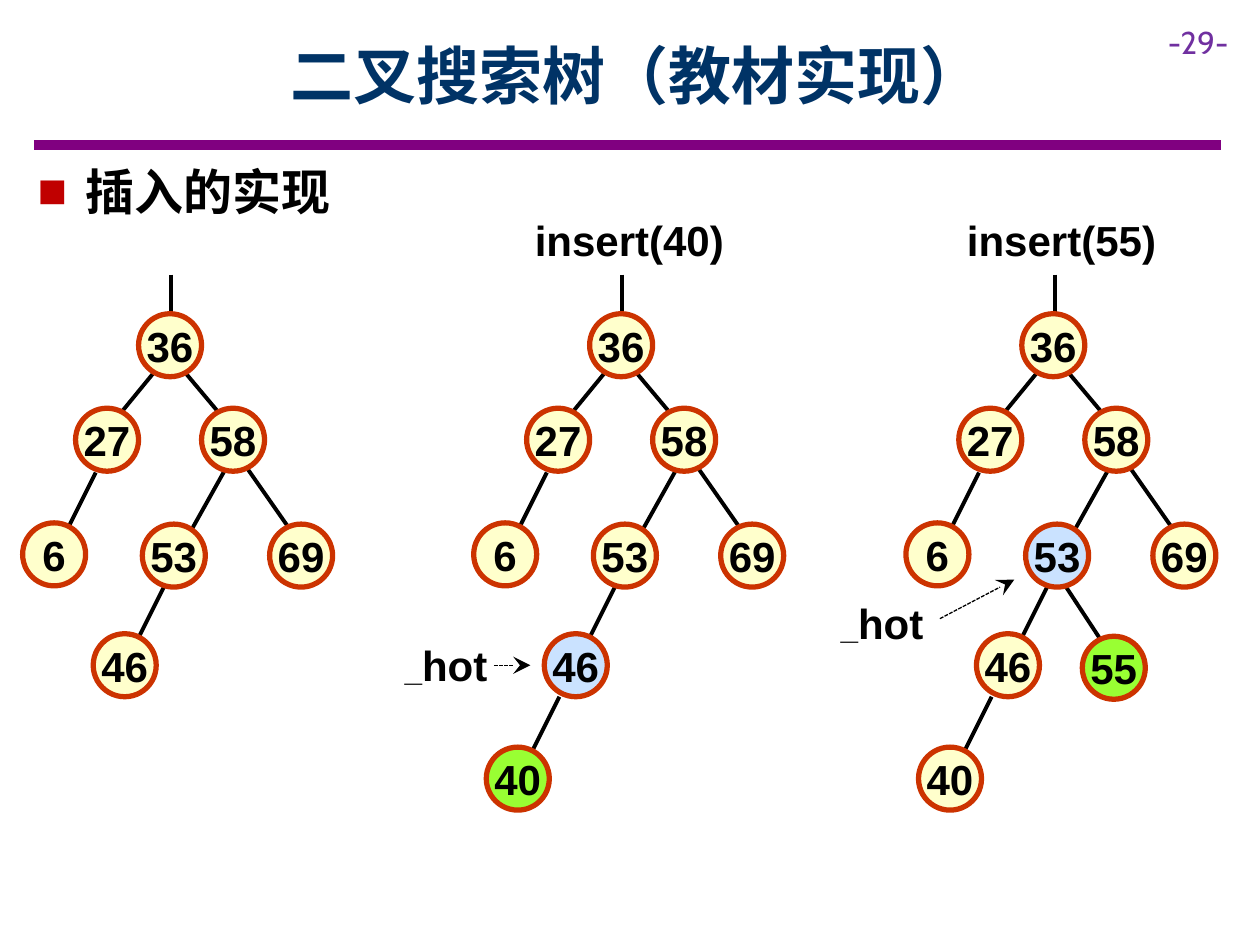
from lxml import etree
from pptx import Presentation
from pptx.dml.color import RGBColor
from pptx.enum import dml, shapes, text
from pptx.oxml import ns
from pptx.util import Inches, Pt

BLACK = RGBColor(0x00, 0x00, 0x00)
NAVY = RGBColor(0x00, 0x33, 0x66)
PURPLE = RGBColor(0x80, 0x00, 0x80)
VIOLET = RGBColor(0x70, 0x30, 0xA0)
RIM = RGBColor(0xCC, 0x33, 0x00)
CREAM = RGBColor(0xFF, 0xFF, 0xCC)
HOT = RGBColor(0xCA, 0xE2, 0xFF)
ADDED = RGBColor(0x99, 0xFF, 0x33)
BULLET_RED = RGBColor(0xC0, 0x00, 0x00)
CHINESE = "Noto Sans CJK SC"
DIAMETER = 0.5
TREE_TOP = 2.18

NODES = {
    36: (0.92, 0.31),
    27: (0.42, 1.06),
    58: (1.42, 1.06),
    6: (0, 1.97),
    53: (0.95, 1.98),
    69: (1.96, 1.98),
    46: (0.56, 2.85),
    40: (0.1, 3.75),
    55: (1.4, 2.87),
}
EDGES = {
    36: (1.18, 0, 1.18, 0.42),
    27: (1.08, 0.73, 0.67, 1.23),
    58: (1.25, 0.73, 1.67, 1.23),
    6: (0.58, 1.57, 0.33, 2.07),
    53: (1.6, 1.56, 1.27, 2.15),
    69: (1.77, 1.52, 2.19, 2.12),
    46: (1.14, 2.44, 0.89, 2.94),
    40: (0.68, 3.35, 0.43, 3.85),
    55: (1.18, 2.34, 1.6, 2.98),
}
START_KEYS = [36, 27, 58, 6, 53, 69, 46]


def add_child(parent, tag, **attributes):
    return etree.SubElement(parent, ns.qn(tag), **attributes)


def add_line(page, x1, y1, x2, y2, width, color=BLACK):
    line = page.shapes.add_connector(
        shapes.MSO_CONNECTOR.STRAIGHT, Inches(x1), Inches(y1), Inches(x2), Inches(y2)
    )
    line.line.width = Pt(width)
    line.line.color.rgb = color
    add_child(line._element.spPr, "a:effectLst")
    return line


def add_arrow(page, *ends):
    arrow = add_line(page, *ends, 0.75)
    arrow.line.dash_style = dml.MSO_LINE.SQUARE_DOT
    outline = arrow.line._get_or_add_ln()
    add_child(outline, "a:tailEnd", type="stealth", w="lg", len="lg")


def style_font(para, size, name, color, bold=True):
    font = para.font
    font.size, font.name, font.bold = Pt(size), name, bold
    font.color.rgb = color
    if name == CHINESE:
        latin = font._element.find(ns.qn("a:latin"))
        latin.addnext(latin.makeelement(ns.qn("a:ea"), {"typeface": name}))


def add_box(page, left, top, width, height):
    box = page.shapes.add_textbox(Inches(left), Inches(top), Inches(width), Inches(height))
    box.text_frame.word_wrap = True
    return box


def add_oval(page, left, top, width, height, *spans):
    oval = page.shapes.add_shape(
        shapes.MSO_SHAPE.OVAL, Inches(left), Inches(top), Inches(width), Inches(height)
    )
    oval.shadow.inherit = False
    oval.fill.background()
    oval.line.fill.background()
    frame = oval.text_frame
    frame.word_wrap = False
    frame.vertical_anchor = text.MSO_ANCHOR.MIDDLE
    frame.margin_left = frame.margin_right = frame.margin_top = frame.margin_bottom = 0
    para = frame.paragraphs[0]
    para.alignment = text.PP_ALIGN.CENTER
    style_font(para, 24, "Arial", BLACK)
    for words, size in spans:
        span = para.add_run()
        span.text = words
        span.font.size = Pt(size)
    return oval


def add_node(page, left, top, key, fill):
    node = add_oval(page, left, top, DIAMETER, DIAMETER, (str(key), 24))
    node.fill.solid()
    node.fill.fore_color.rgb = fill
    node.line.color.rgb = RIM
    node.line.width = Pt(3)


def add_tree(page, left, top, keys, fills):
    for key in keys:
        x1, y1, x2, y2 = EDGES[key]
        add_line(page, left + x1, top + y1, left + x2, top + y2, 2.25)
    for key in keys:
        x, y = NODES[key]
        add_node(page, left + x, top + y, key, fills.get(key, CREAM))


def add_insertion(page, left, top, keys, added, hot, pointer, arrow):
    add_tree(page, left, top, keys, {added: ADDED, hot: HOT})
    add_oval(page, left + 0.71, top - 0.4, 1.05, 0.24, (f"insert({added})", 24))
    x, y = pointer
    add_oval(page, left + x, top + y, 0.54, 0.27, ("_", 18), ("hot", 24))
    x1, y1, x2, y2 = arrow
    add_arrow(page, left + x1, top + y1, left + x2, top + y2)


def add_header(page, left, top, width, height):
    add_line(page, 0.27, 1.15, 9.69, 1.15, 6, PURPLE)
    number = add_box(page, 9.17, 0.13, 0.83, 0.4).text_frame.paragraphs[0]
    number.text = "-29-"
    style_font(number, 18, "Cabin", VIOLET, False)
    frame = add_box(page, left, top, width, height).text_frame
    frame.vertical_anchor = text.MSO_ANCHOR.MIDDLE
    title = frame.paragraphs[0]
    title.text = "二叉搜索树（教材实现）"
    title.alignment = text.PP_ALIGN.CENTER
    style_font(title, 36, CHINESE, NAVY)


def add_topic(page, left, top, width, height):
    para = add_box(page, left, top, width, height).text_frame.paragraphs[0]
    para.text = "插入的实现"
    para.space_after = Pt(6)
    props = para._p.get_or_add_pPr()
    props.set("marL", str(Inches(0.38)))
    props.set("indent", str(-Inches(0.38)))
    add_child(add_child(props, "a:buClr"), "a:srgbClr", val=str(BULLET_RED))
    add_child(props, "a:buFont", typeface="Arial")
    add_child(props, "a:buChar", char="■")
    style_font(para, 28, CHINESE, BLACK)


def main():
    deck = Presentation()
    deck.slide_width, deck.slide_height = Inches(10), Inches(7.5)
    page = deck.slides.add_slide(deck.slide_layouts[6])
    add_header(page, 0.9, 0.09, 8.31, 1)
    add_topic(page, 0.2, 1.23, 5.28, 0.57)
    add_tree(page, 0.18, TREE_TOP, START_KEYS, {})
    add_insertion(page, 3.76, TREE_TOP, START_KEYS + [40], 40, 46,
                  (-0.49, 2.96), (0.16, 3.1, 0.45, 3.1))
    add_insertion(page, 7.19, TREE_TOP, START_KEYS + [40, 55], 55, 53,
                  (-0.46, 2.63), (0.27, 2.73, 0.86, 2.42))
    deck.save("out.pptx")


if __name__ == "__main__":
    main()
